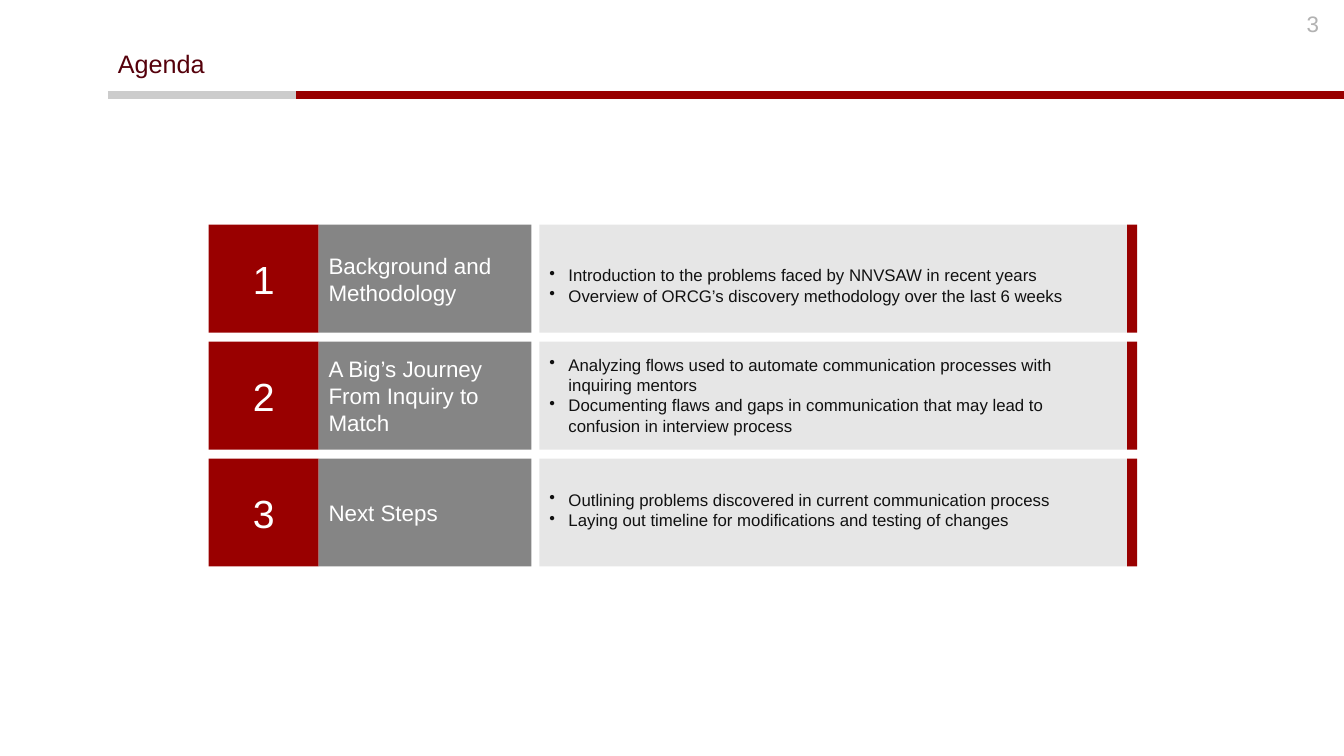
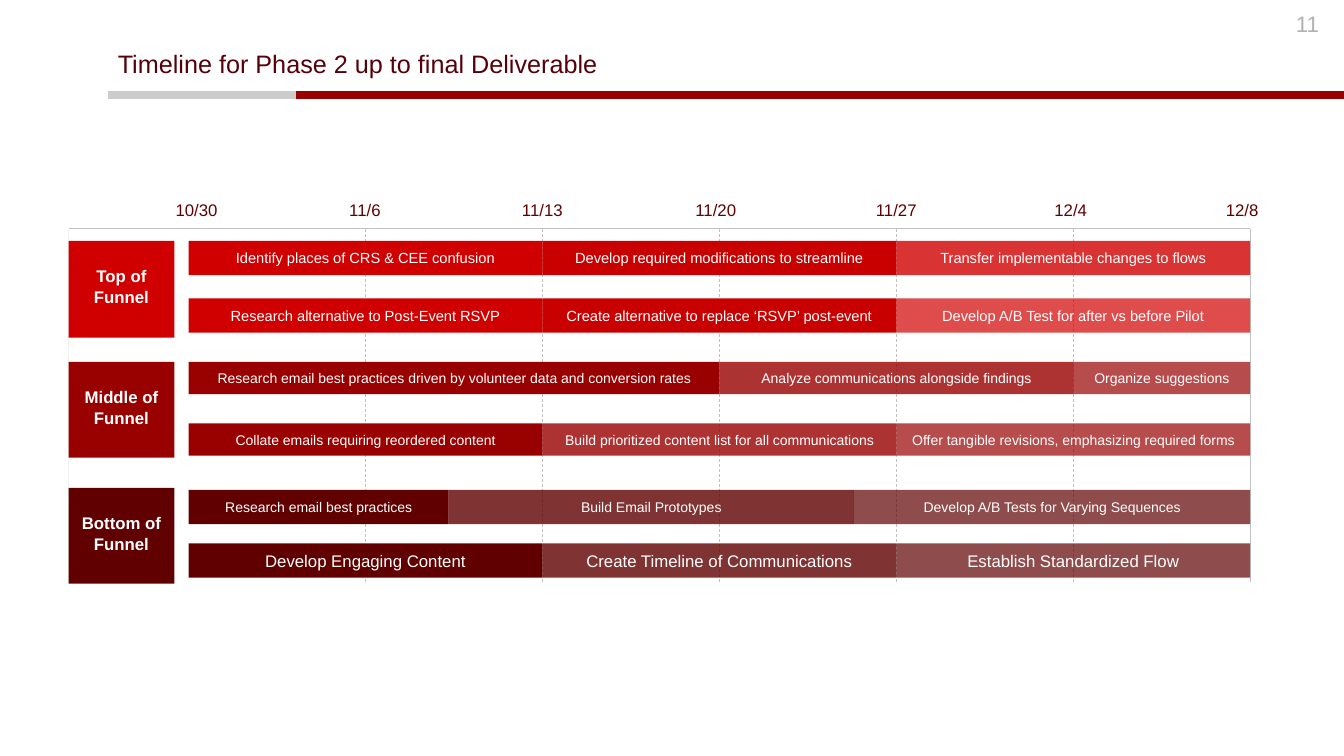
"""Build an agenda slide and a project timeline slide."""
from dataclasses import dataclass

from pptx import Presentation
from pptx.dml.color import RGBColor as Color
from pptx.enum.dml import MSO_LINE as Dash
from pptx.enum.shapes import MSO_CONNECTOR as Connector, MSO_SHAPE as Shape
from pptx.enum.text import MSO_ANCHOR as Anchor, PP_ALIGN as Align
from pptx.oxml.ns import qn
from pptx.util import Inches, Pt
from lxml.etree import SubElement


@dataclass(frozen=True)
class Theme:
    font: str = "Arial"
    white: str = "FFFFFF"
    ink: str = "111111"
    crimson: str = "990000"
    bright: str = "D00000"
    bright_mid: str = "C80000"
    maroon: str = "600000"
    title: str = "55000B"
    silver: str = "CCCCCC"
    page_number: str = "B2B2B2"
    heading: str = "858585"
    panel: str = "E6E6E6"
    grid: str = "C1C1C1"
    frame: str = "F0F0F0"
    title_size: float = 18
    number_size: float = 28
    heading_size: float = 16
    body_size: float = 12
    bar_size: float = 10.5
    small_bar_size: float = 10


theme = Theme()


def add_box(page, at, lines=(), fill=None, opacity=100, size=theme.body_size, color=theme.white,
            bold=False, align=Align.LEFT, anchor=Anchor.TOP, inset=0.05, bullet=False, spacing=None):
    place = [Inches(value) for value in at]
    if fill:
        box = page.shapes.add_shape(Shape.RECTANGLE, *place)
        box.shadow.inherit = False
        box.line.fill.background()
        box.fill.solid()
        box.fill.fore_color.rgb = Color.from_string(fill)
        if opacity < 100:
            tone = box.fill._xPr.find(qn("a:solidFill"))[0]
            SubElement(tone, qn("a:alpha"), val=str(opacity * 1000))
    else:
        box = page.shapes.add_textbox(*place)
    frame = box.text_frame
    frame_format = {"word_wrap": True, "vertical_anchor": anchor, "margin_top": Inches(inset)}
    for name, value in frame_format.items():
        setattr(frame, name, value)
    for index, text in enumerate(lines):
        para = frame.add_paragraph() if index else frame.paragraphs[0]
        if bullet:
            properties = para._p.get_or_add_pPr()
            properties.set("marL", str(Inches(0.19)))
            properties.set("indent", str(-Inches(0.19)))
            SubElement(properties, qn("a:buChar"), char="•")
        para.alignment = align
        if spacing:
            para.line_spacing = spacing
        span = para.add_run()
        span.text = text
        for name, value in {"name": theme.font, "size": Pt(size), "bold": bold}.items():
            setattr(span.font, name, value)
        span.font.color.rgb = Color.from_string(color)


def add_line(page, start, end, color, width, dash=None):
    line = page.shapes.add_connector(Connector.STRAIGHT, *[Inches(value) for value in start + end])
    line.line.color.rgb = Color.from_string(color)
    line.line.width = Pt(width)
    if dash:
        line.line.dash_style = dash
    SubElement(line._element.spPr, qn("a:effectLst"))


deck = Presentation()
deck.slide_width, deck.slide_height = Inches(13.33), Inches(7.5)

pages = []
for title, number in (("Agenda", "3"), ("Timeline for Phase 2 up to final Deliverable", "11")):
    page = deck.slides.add_slide(deck.slide_layouts[6])
    add_line(page, (2.94, 0.94), (13.33, 0.94), theme.crimson, 6)
    add_line(page, (1.07, 0.94), (2.94, 0.94), theme.silver, 6)
    add_box(page, (1.07, 0.46, 11.63, 0.41), [title], size=theme.title_size, color=theme.title, spacing=0.9)
    add_box(page, (12.58, 0.05, 0.6, 0.4), [number], size=theme.heading_size,
            color=theme.page_number, align=Align.RIGHT)
    pages.append(page)
agenda, timeline = pages

agenda_rows = [
    ("Background and Methodology", 0.4, [
        "Introduction to the problems faced by NNVSAW in recent years",
        "Overview of ORCG’s discovery methodology over the last 6 weeks"]),
    ("A Big’s Journey From Inquiry to Match", 0.13, [
        "Analyzing flows used to automate communication processes with inquiring mentors",
        "Documenting flaws and gaps in communication that may lead to confusion in interview process"]),
    ("Next Steps", 0.31, [
        "Outlining problems discovered in current communication process",
        "Laying out timeline for modifications and testing of changes"]),
]
row_top, row_pitch, row_height = 2.23, 1.16, 1.07
for index, (heading, inset, points) in enumerate(agenda_rows):
    top = row_top + index * row_pitch
    add_box(agenda, (2.07, top, 1.09, row_height), [str(index + 1)], theme.crimson,
            size=theme.number_size, align=Align.CENTER, anchor=Anchor.MIDDLE)
    add_box(agenda, (3.16, top, 2.11, row_height), [heading], theme.heading,
            size=theme.heading_size, anchor=Anchor.MIDDLE)
    add_box(agenda, (5.35, top, 5.83, row_height), points, theme.panel,
            color=theme.ink, inset=inset, bullet=True)
    add_box(agenda, (11.18, top, 0.1, row_height), fill=theme.crimson)

chart_left, chart_top, chart_bottom = 0.68, 2.27, 5.77
first_week, week_width, week_count = 1.87, 1.755, 6
chart_right = first_week + week_count * week_width
add_line(timeline, (chart_left, chart_top), (chart_left, chart_bottom), theme.frame, 1)
for week in range(1, week_count + 1):
    x = first_week + week * week_width
    add_line(timeline, (x, chart_top), (x, chart_bottom), theme.grid, 0.5,
             Dash.DASH if week < week_count else None)
add_line(timeline, (chart_left, chart_top), (chart_right, chart_top), theme.grid, 0.5)

date_centers = {"10/30": 1.95, "11/6": 3.62, "11/13": 5.38, "11/20": 7.1,
                "11/27": 8.89, "12/4": 10.62, "12/8": 12.32}
for date, center in date_centers.items():
    add_box(timeline, (center - 0.35, 1.93, 0.7, 0.3), [date], color=theme.maroon, align=Align.CENTER)

stages = [("Top of Funnel", 2.39, 0.96, theme.bright),
          ("Middle of Funnel", 3.59, 0.95, theme.crimson),
          ("Bottom of Funnel", 4.84, 0.95, theme.maroon)]
for name, top, height, fill in stages:
    add_box(timeline, (chart_left, top, 1.05, height), [name], fill, bold=True, align=Align.CENTER, inset=0.25)

bright_fills = (theme.bright, theme.bright_mid, theme.bright)
crimson_fills, maroon_fills = (theme.crimson,) * 3, (theme.maroon,) * 3
bar_rows = [
    (2.39, 0.34, theme.bar_size, bright_fills, (100, 100, 80), (0, 2, 4, 6), (
        "Identify places of CRS & CEE confusion",
        "Develop required modifications to streamline",
        "Transfer implementable changes to flows")),
    (2.96, 0.34, theme.bar_size, bright_fills, (100, 100, 70), (0, 2, 4, 6), (
        "Research alternative to Post-Event RSVP",
        "Create alternative to replace ‘RSVP’ post-event",
        "Develop A/B Test for after vs before Pilot")),
    (3.59, 0.32, theme.small_bar_size, crimson_fills, (100, 80, 70), (0, 3, 5, 6), (
        "Research email best practices driven by volunteer data and conversion rates",
        "Analyze communications alongside findings",
        "Organize suggestions")),
    (4.2, 0.32, theme.small_bar_size, crimson_fills, (100, 80, 70), (0, 2, 4, 6), (
        "Collate emails requiring reordered content",
        "Build prioritized content list for all communications",
        "Offer tangible revisions, emphasizing required forms")),
    (4.86, 0.34, theme.small_bar_size, maroon_fills, (100, 80, 70), (0, 1.47, 3.76, 6), (
        "Research email best practices",
        "Build Email Prototypes",
        "Develop A/B Tests for Varying Sequences")),
    (5.39, 0.34, theme.body_size, maroon_fills, (100, 80, 70), (0, 2, 4, 6), (
        "Develop Engaging Content",
        "Create Timeline of Communications",
        "Establish Standardized Flow")),
]
for top, height, size, fills, opacities, weeks, tasks in bar_rows:
    for start, end, task, fill, opacity in zip(weeks, weeks[1:], tasks, fills, opacities):
        place = (first_week + start * week_width, top, (end - start) * week_width, height)
        add_box(timeline, place, [task], fill, opacity, size, align=Align.CENTER, anchor=Anchor.MIDDLE)

deck.save("out.pptx")
